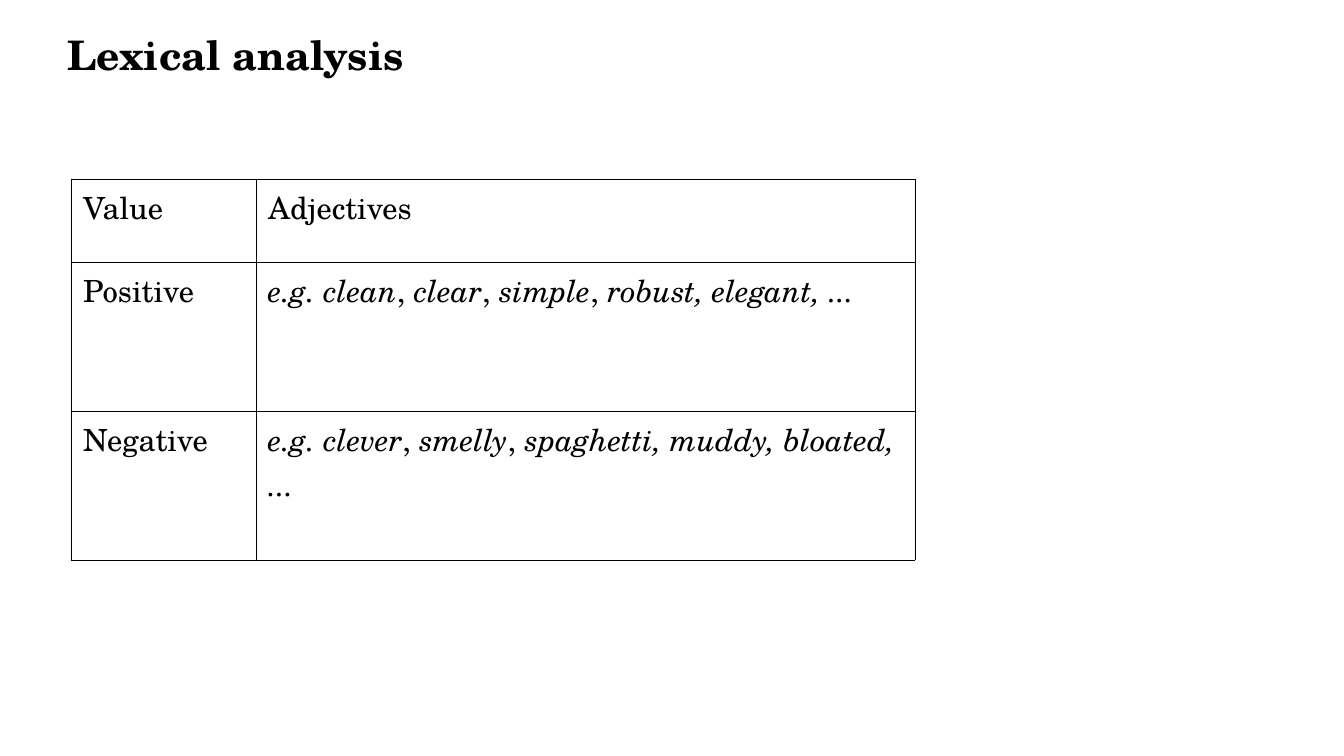
"""Build the lexical analysis slide: a title above a table of adjectives by value."""
from lxml.etree import SubElement
from pptx import Presentation
from pptx.dml.color import RGBColor
from pptx.enum.text import MSO_ANCHOR as Anchor, MSO_AUTO_SIZE as AutoSize, PP_ALIGN as Align
from pptx.oxml.ns import qn
from pptx.util import Emu, Pt

TITLE = "Lexical analysis"
HEADINGS = ("Value", "Adjectives")
ADJECTIVES = {
    "Positive": ("e.g. clean", "clear", "simple", "robust, elegant, ..."),
    "Negative": ("e.g. clever", "smelly", "spaghetti, muddy, bloated, ..."),
}
FONT, INK = "TeX Gyre Schola", "000000"
SLIDE_SIZE = (1344, 756)
TITLE_BOX = (67, 30, 1210, 127)
TABLE_ORIGIN = (71, 179)
COLUMN_WIDTHS = (185, 659)
ROW_HEIGHTS = (83, 149, 149)
CELL_INSETS = (5, 6, 5, 6)
BORDER_WIDTH = 0.57


def px(length):
    return Emu(round(length * 914400 / 122))


def color(code):
    return RGBColor.from_string(code)


def write(frame, text, size=18, bold=False, italic=False, insets=CELL_INSETS):
    """Write a string, or phrases joined by upright commas, into a text frame."""
    frame.margin_left, frame.margin_top, frame.margin_right, frame.margin_bottom = map(px, insets)
    frame.word_wrap = True
    paragraph = frame.paragraphs[0]
    paragraph.alignment = Align.LEFT
    phrases = [text] if isinstance(text, str) else text
    pieces = [(phrases[0], italic)]
    for phrase in phrases[1:]:
        pieces += [(", ", False), (phrase, italic)]
    for piece, slanted in pieces:
        run = paragraph.add_run()
        run.text = piece
        run.font.name, run.font.size = FONT, Pt(size)
        run.font.bold, run.font.italic = bold, slanted
        run.font.color.rgb = color(INK)


def outline(cell):
    """Draw a thin line on all four sides of a cell."""
    properties = cell._tc.get_or_add_tcPr()
    for position, side in enumerate(("lnL", "lnR", "lnT", "lnB")):
        line = SubElement(properties, qn(f"a:{side}"), w=str(Pt(BORDER_WIDTH)))
        SubElement(SubElement(line, qn("a:solidFill")), qn("a:srgbClr"), val=INK)
        properties.insert(position, line)


deck = Presentation()
deck.slide_width, deck.slide_height = map(px, SLIDE_SIZE)
slide = deck.slides.add_slide(deck.slide_layouts[5])

heading = slide.shapes.title
heading.left, heading.top, heading.width, heading.height = map(px, TITLE_BOX)
write(heading.text_frame, TITLE, size=24, bold=True, insets=(0, 0, 0, 0))
heading.text_frame.vertical_anchor = Anchor.TOP
heading.text_frame.auto_size = AutoSize.NONE

rows = [HEADINGS, *ADJECTIVES.items()]
table_size = (sum(COLUMN_WIDTHS), sum(ROW_HEIGHTS))
table = slide.shapes.add_table(
    len(rows), len(HEADINGS), *map(px, TABLE_ORIGIN + table_size)).table
table.first_row = table.horz_banding = False
for column, width in zip(table.columns, COLUMN_WIDTHS):
    column.width = px(width)
for row, height, entries in zip(table.rows, ROW_HEIGHTS, rows):
    row.height = px(height)
    for cell, entry in zip(row.cells, entries):
        write(cell.text_frame, entry, italic=not isinstance(entry, str))
        cell.vertical_anchor = Anchor.TOP
        cell.fill.background()
        outline(cell)

deck.save("out.pptx")
